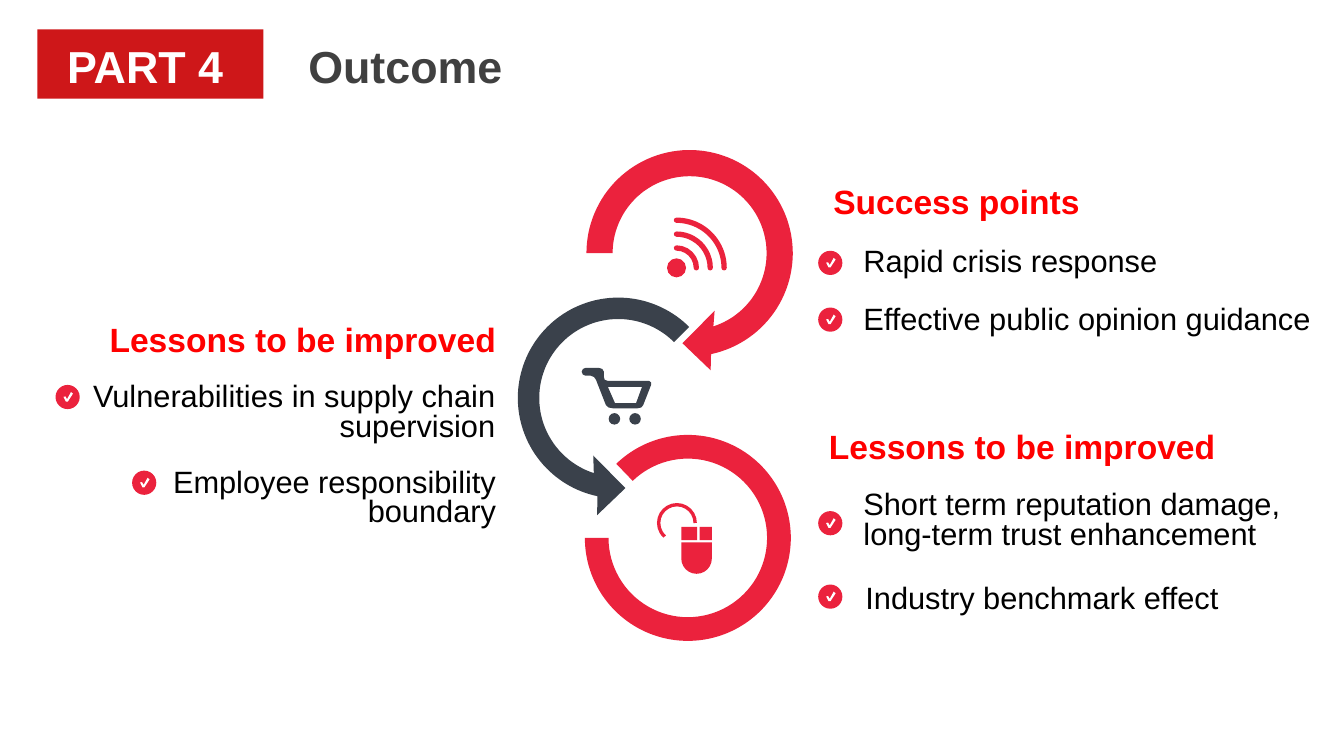
from dataclasses import dataclass
from math import cos, radians, sin

from pptx import Presentation
from pptx.dml.color import RGBColor
from pptx.enum.shapes import MSO_SHAPE
from pptx.enum.text import MSO_AUTO_SIZE, PP_ALIGN
from pptx.oxml.ns import qn
from pptx.util import Cm, Pt

RECT = MSO_SHAPE.RECTANGLE
OVAL = MSO_SHAPE.OVAL
ARC = MSO_SHAPE.ARC
RING = MSO_SHAPE.BLOCK_ARC
CUP = MSO_SHAPE.ROUND_2_SAME_RECTANGLE
LEFT, MID, RIGHT = PP_ALIGN.LEFT, PP_ALIGN.CENTER, PP_ALIGN.RIGHT
GROW, FIXED = MSO_AUTO_SIZE.SHAPE_TO_FIT_TEXT, MSO_AUTO_SIZE.NONE


@dataclass(frozen=True)
class Theme:
    """Hold the colours, font and type sizes of the slide."""

    font: str = "Arial"
    rose: str = "EB223D"
    slate: str = "3A414B"
    brand: str = "CE1719"
    head: str = "FF0000"
    title: str = "404040"
    body: str = "000000"
    white: str = "FFFFFF"
    big: int = 32
    mid: int = 24
    small: int = 22


THEME = Theme()
DEGREE = 0.6
BADGE = 0.61
TICK = [(0.2, 0.3), (0.25, 0.29), (0.29, 0.36), (0.39, 0.18),
        (0.44, 0.22), (0.31, 0.42), (0.26, 0.42)]
BARB = [(0.53, 2.95), (-0.18, 2.27), (0.63, 1.45)]
CART = [(1.7, 0.33), (0.66, 0.33), (0.58, 0.3), (0.56, 0.23), (0.56, 0.1),
        (0.52, 0.03), (0.43, 0), (0.1, 0), (0.03, 0.03), (0, 0.1),
        (0.03, 0.17), (0.1, 0.2), (0.23, 0.2), (0.31, 0.23), (0.36, 0.3),
        (0.61, 0.94), (0.68, 1), (0.79, 1.02), (1.4, 1.02), (1.5, 1),
        (1.55, 0.94), (1.75, 0.43), (1.75, 0.37)]
BASKET = [(1.37, 0.89), (0.84, 0.89), (0.66, 0.48), (1.52, 0.48)]

HEADS = [
    ("Success points", 20.75, 4.44, 12.95, LEFT),
    ("Lessons to be improved", 2.11, 7.92, 10.64, RIGHT),
    ("Lessons to be improved", 20.24, 10.62, 10.64, RIGHT),
]
ITEMS = [
    ("Rapid crisis response", (21.51, 5.97, 11.66, 1.19), (20.62, 6.32), LEFT, 1),
    ("Effective public opinion guidance", (21.51, 7.44, 12.35, 1.19),
     (20.62, 7.75), LEFT, 1),
    ("Vulnerabilities in supply chain supervision", (0, 9.55, 12.73, 1.75),
     (1.4, 9.7), RIGHT, 0.8),
    ("Employee responsibility\nboundary", (0, 11.71, 12.75, 1.75),
     (3.33, 11.86), RIGHT, 0.8),
    ("Short term reputation damage, long-term trust enhancement",
     (21.51, 12.27, 12.35, 1.75), (20.62, 12.88), LEFT, 0.8),
    ("Industry benchmark effect", (21.56, 14.45, 12.3, 1.19),
     (20.62, 14.73), LEFT, 1),
]


def paint(shape, tint):
    """Give a shape a flat fill with no line or shadow."""
    shape.shadow.inherit = False
    shape.fill.solid()
    shape.fill.fore_color.rgb = RGBColor.from_string(tint)
    shape.line.fill.background()


def block(slide, kind, x, y, w, h, tint, adjust=()):
    """Add a filled preset shape."""
    shape = slide.shapes.add_shape(kind, Cm(x), Cm(y), Cm(w), Cm(h))
    for i, value in enumerate(adjust):
        shape.adjustments[i] = value
    paint(shape, tint)


def curve(slide, x, y, r, width, tint, start=270, cap="flat"):
    """Stroke an arc about a centre, clockwise from start to the right."""
    shape = slide.shapes.add_shape(ARC, Cm(x - r), Cm(y - r), Cm(2 * r), Cm(2 * r))
    shape.adjustments[0] = start * DEGREE
    shape.adjustments[1] = 0
    shape.shadow.inherit = False
    shape.fill.background()
    shape.line.color.rgb = RGBColor.from_string(tint)
    shape.line.width = Pt(width)
    shape.element.spPr.find(qn("a:ln")).set("cap", cap)


def outline(slide, x, y, tint, *loops):
    """Fill closed loops of points measured from x, y."""
    pen = None
    for loop in loops:
        dots = [(Cm(x + a), Cm(y + b)) for a, b in loop]
        if pen is None:
            pen = slide.shapes.build_freeform(*dots[0])
        else:
            pen.move_to(*dots[0])
        pen.add_line_segments(dots[1:], close=True)
    paint(pen.convert_to_shape(), tint)


def sweep(r, start, end, steps=90):
    """List points along an arc about the origin."""
    turns = [radians(start + (end - start) * i / steps) for i in range(steps + 1)]
    return [(r * cos(t), r * sin(t)) for t in turns]


def arrow(slide, x, y, r, thick, start, side, tint):
    """Draw a ring arrow; a side of -1 mirrors it."""
    edge = sweep(r, start, 438) + BARB + sweep(r - thick, 432, start)
    outline(slide, x, y, tint, [(side * a, b) for a, b in edge])


def text(slide, words, x, y, w, h, *, size, tint, bold=False, align=LEFT,
         space=1, fit=FIXED):
    """Add a wrapped text box with one format."""
    frame = slide.shapes.add_textbox(Cm(x), Cm(y), Cm(w), Cm(h)).text_frame
    frame.word_wrap = True
    frame.auto_size = fit
    frame.text = words
    for para in frame.paragraphs:
        para.alignment = align
        para.line_spacing = space
        font = para.runs[0].font
        font.name = THEME.font
        font.size = Pt(size)
        font.bold = bold
        font.color.rgb = RGBColor.from_string(tint)


def badge(slide, x, y):
    """Draw a round badge with a tick."""
    block(slide, OVAL, x, y, BADGE, BADGE, THEME.rose)
    outline(slide, x, y, THEME.white, TICK)


def signal(slide, x, y):
    """Draw a dot with three signal waves."""
    block(slide, OVAL, x - 0.24, y - 0.24, 0.48, 0.48, THEME.rose)
    for i in range(3):
        curve(slide, x, y, 0.5 + 0.35 * i, 3.8, THEME.rose, cap="rnd")


def cart(slide, x, y):
    """Draw a shopping cart."""
    outline(slide, x, y, THEME.slate, CART, BASKET)
    for gap in (0.68, 1.2):
        block(slide, OVAL, x + gap, y + 1.14, 0.29, 0.29, THEME.slate)


def mouse(slide, x, y):
    """Draw a computer mouse with its cord."""
    for gap in (0, 0.46):
        block(slide, RECT, x + gap, y, 0.31 if gap else 0.4, 0.33, THEME.rose)
    block(slide, CUP, x, y + 0.39, 0.77, 0.79, THEME.rose, (0, 0.5))
    curve(slide, x - 0.11, y - 0.1, 0.46, 2.4, THEME.rose, start=132)


def main():
    """Build the slide and save it."""
    deck = Presentation()
    deck.slide_width, deck.slide_height = Cm(33.87), Cm(19.05)
    slide = deck.slides.add_slide(deck.slide_layouts[6])

    block(slide, RECT, 0.94, 0.74, 5.7, 1.75, THEME.brand)
    text(slide, "PART 4", 0.97, 0.84, 5.38, 1.47, size=THEME.big,
         tint=THEME.white, bold=True, align=MID)
    text(slide, "Outcome", 7.52, 0.84, 20.57, 1.63, size=THEME.big,
         tint=THEME.title, bold=True)

    arrow(slide, 15.58, 10.03, 2.53, 0.54, 225, -1, THEME.slate)
    block(slide, RING, 14.74, 10.96, 5.19, 5.19, THEME.rose,
          (226 * DEGREE, 180 * DEGREE, 0.115))
    arrow(slide, 17.38, 6.38, 2.6, 0.66, 180, 1, THEME.rose)
    signal(slide, 17.05, 6.75)
    cart(slide, 14.66, 9.27)
    mouse(slide, 17.17, 13.28)

    for words, x, y, w, align in HEADS:
        text(slide, words, x, y, w, 1.37, size=THEME.mid, tint=THEME.head,
             bold=True, align=align)
    for words, box, spot, align, space in ITEMS:
        text(slide, words, *box, size=THEME.small, tint=THEME.body,
             align=align, space=space, fit=GROW)
        badge(slide, *spot)

    deck.save("out.pptx")


if __name__ == "__main__":
    main()
